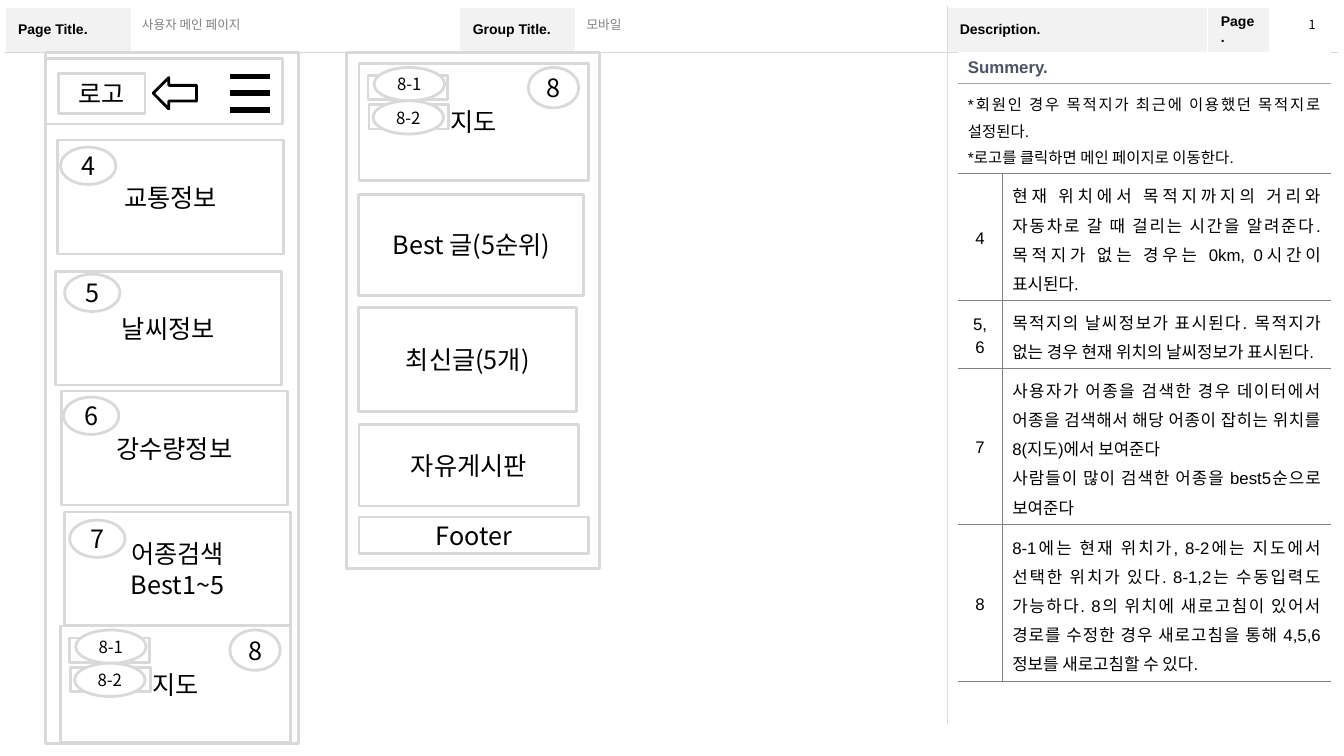
from lxml.etree import SubElement
from pptx import Presentation
from pptx.dml.color import RGBColor
from pptx.enum.shapes import MSO_CONNECTOR, MSO_SHAPE
from pptx.enum.text import MSO_ANCHOR, PP_ALIGN
from pptx.oxml.ns import qn
from pptx.util import Inches, Pt

THEME = {
    "latin": "Arial", "hangul": "Noto Sans CJK KR",
    "ink": "000000", "paper": "FFFFFF", "edge": "D9D9D9", "band": "F2F2F2",
    "mute": "808080", "rule": "A6A6A6", "head": "4E5263",
    "small": 9, "label": 10, "note": 11, "body": 12, "card": 18,
    "frame": 2, "bar": 4, "hair": 0.25,
}
WIDE, TALL = 13.33, 7.5

# Page frame: column width and label of each header cell
HEADER = [(1.26, "Page Title."), (3.25, ""), (1.15, "Group Title."), (3.68, ""),
          (2.59, "Description."), (0.61, "Page."), (0.68, "")]
FRAME_ROWS = [0.44, 6.67]
SPLIT = 4  # first header column of the description side
TITLES = [(1.31, 3.24, "사용자 메인 페이지"), (5.72, 3.64, "모바일")]

SUMMARY = "Summery."
REMARKS = ["*회원인 경우 목적지가 최근에 이용했던 목적지로 설정된다.",
           "*로고를 클릭하면 메인 페이지로 이동한다."]
DETAILS = [
    ("4", ["현재 위치에서 목적지까지의 거리와 자동차로 갈 때 걸리는 시간을 알려준다. "
           "목적지가 없는 경우는 0km, 0시간이 표시된다."]),
    ("5, 6", ["목적지의 날씨정보가 표시된다. 목적지가 없는 경우 현재 위치의 날씨정보가 표시된다."]),
    ("7", ["사용자가 어종을 검색한 경우 데이터에서 어종을 검색해서 해당 어종이 잡히는 위치를 "
           "8(지도)에서 보여준다",
           "사람들이 많이 검색한 어종을 best5순으로 보여준다"]),
    ("8", ["8-1에는 현재 위치가, 8-2에는 지도에서 선택한 위치가 있다. 8-1,2는 수동입력도 "
           "가능하다. 8의 위치에 새로고침이 있어서 경로를 수정한 경우 새로고침을 통해 4,5,6 "
           "정보를 새로고침할 수 있다."]),
]
DETAIL_ROWS = [0.28, 0.9, 1.26, 0.67, 1.55, 1.56]

# Cards: left, top, lines, badge number, badge offset
CARDS = [
    (0.57, 1.39, ["교통정보"], "4", (0.03, 0.07)),
    (0.55, 2.69, ["날씨정보"], "5", (0.09, 0.03)),
    (0.61, 3.88, ["강수량정보"], "6", (0.02, 0.06)),
    (0.64, 5.08, ["어종검색", "Best1~5"], "7", (0.05, 0.08)),
]
# Boards of the second phone: top, width, height, line
BOARDS = [(1.93, 2.23, 1, "Best 글(5순위)"), (3.05, 2.16, 1.03, "최신글(5개)"),
          (4.21, 2.18, 0.81, "자유게시판"), (5.13, 2.28, 0.36, "Footer")]
MAPS = [(0.6, 6.21), (3.56, 0.63)]
PINS = [("8-1", 0.15, 0.04, 0.7, 0.33, "body"), ("8", 1.68, 0.04, 0.5, 0.4, "card"),
        ("8-2", 0.14, 0.37, 0.7, 0.33, "body")]

deck = Presentation()
deck.slide_width, deck.slide_height = Inches(WIDE), Inches(TALL)
page = deck.slides.add_slide(deck.slide_layouts[6])
RECT, OVAL = MSO_SHAPE.RECTANGLE, MSO_SHAPE.OVAL


def tone(name):
    """Return a theme colour."""
    return RGBColor.from_string(THEME[name])


def place(*sizes):
    """Turn inches into lengths."""
    return [Inches(size) for size in sizes]


def write(frame, lines, size, face="latin", color="ink", bold=False, align=None, space=None):
    """Put one run per line in its own paragraph."""
    for i, line in enumerate(lines):
        para = frame.add_paragraph() if i else frame.paragraphs[0]
        para.alignment = align
        para.line_spacing = space
        run = para.add_run()
        run.text = line
        font = run.font
        font.size, font.bold, font.name = Pt(THEME[size]), bold, THEME[face]
        font.color.rgb = tone(color)
        SubElement(font._element, qn("a:ea"), typeface=THEME["hangul"])


def draw(kind, x, y, w, h, lines=(), size="card", line="edge"):
    """Add an outlined shape with centred lines."""
    shape = page.shapes.add_shape(kind, *place(x, y, w, h))
    shape.shadow.inherit = False
    shape.fill.solid()
    shape.fill.fore_color.rgb = tone("paper")
    shape.line.color.rgb = tone(line)
    shape.line.width = Pt(THEME["frame"])
    frame = shape.text_frame
    frame.margin_left = frame.margin_right = frame.margin_top = frame.margin_bottom = 0
    frame.vertical_anchor = MSO_ANCHOR.MIDDLE
    frame.word_wrap = True
    write(frame, lines, size, "hangul", align=PP_ALIGN.CENTER)


def label(x, y, w, h, text, wrap=True, **look):
    """Add a small line of free text."""
    frame = page.shapes.add_textbox(*place(x, y, w, h)).text_frame
    frame.word_wrap = wrap
    frame.vertical_anchor = MSO_ANCHOR.MIDDLE
    write(frame, [text], "small", **look)


def grid(x, y, cols, rows):
    """Add a plain table with the given column and row sizes."""
    box = page.shapes.add_table(len(rows), len(cols), *place(x, y, sum(cols), sum(rows)))
    table = box.table
    table.first_row = table.horz_banding = False
    for part, sizes in ((table.columns, cols), (table.rows, rows)):
        for item, size in zip(part, sizes):
            if part is table.columns:
                item.width = Inches(size)
            else:
                item.height = Inches(size)
    return table


def dress(cell, fill=None, **sides):
    """Set the four borders (L, R, T, B) and the fill of a cell."""
    prop = cell._tc.get_or_add_tcPr()
    for side in "LRTB":
        color = sides.get(side)
        width = 1 if color == "paper" else THEME["hair"]
        line = SubElement(prop, qn("a:ln" + side), w=str(Pt(width)))
        if color:
            solid = SubElement(line, qn("a:solidFill"))
            SubElement(solid, qn("a:srgbClr"), val=THEME[color])
        else:
            SubElement(line, qn("a:noFill"))
    if fill:
        cell.fill.solid()
        cell.fill.fore_color.rgb = tone(fill)
    else:
        cell.fill.background()
    cell.vertical_anchor = MSO_ANCHOR.MIDDLE


def outline():
    """Build the page frame with its header row."""
    table = grid(0.05, 0.07, [width for width, _ in HEADER], FRAME_ROWS)
    table.cell(1, 0).merge(table.cell(1, SPLIT - 1))
    table.cell(1, SPLIT).merge(table.cell(1, len(HEADER) - 1))
    for col, (_, text) in enumerate(HEADER):
        left = "edge" if col == SPLIT else "paper"
        right = "edge" if col == SPLIT - 1 else "paper"
        cell = table.cell(0, col)
        dress(cell, "band" if text else None, L=left, R=right, T="paper", B="edge")
        if text:
            cell.margin_left = cell.margin_right = Inches(0.13)
            cell.margin_top = cell.margin_bottom = Inches(0.07)
            write(cell.text_frame, [text], "label", bold=True)
        base = table.cell(1, col)
        right = "edge" if col < SPLIT else "paper"
        dress(base, L=left, R=right, T="edge", B="paper")


def describe():
    """Build the table of descriptions."""
    table = grid(9.5, 0.52, [0.44, 3.26], DETAIL_ROWS)
    for row, (top, low, fill) in enumerate([(None, "rule", "paper"), ("rule", "mute", None)]):
        table.cell(row, 0).merge(table.cell(row, 1))
        for col in range(2):
            dress(table.cell(row, col), fill, T=top, B=low)
    write(table.cell(0, 0).text_frame, [SUMMARY], "body", color="head", bold=True)
    write(table.cell(1, 0).text_frame, REMARKS, "note", align=PP_ALIGN.JUSTIFY, space=1.2)
    for row, (mark, lines) in enumerate(DETAILS, 2):
        key, text = table.cell(row, 0), table.cell(row, 1)
        dress(key, R="mute", T="mute", B="mute")
        dress(text, L="mute", T="mute", B="mute")
        write(key.text_frame, [mark], "body", align=PP_ALIGN.CENTER, space=1.2)
        write(text.text_frame, lines, "body", align=PP_ALIGN.JUSTIFY, space=1.2)


def chart_map(x, y):
    """Draw the map card with its two inputs and three badges."""
    draw(RECT, x, y, 2.28, 1.16, ["지도"])
    for dx, dy in ((0.09, 0.12), (0.1, 0.41)):
        draw(RECT, x + dx, y + dy, 0.79, 0.24)
    for text, dx, dy, w, h, size in PINS:
        draw(OVAL, x + dx, y + dy, w, h, [text], size)


def menu(x, y, w, gap):
    """Draw the three bars of the menu icon."""
    for i in range(3):
        level = y + i * gap
        bar = page.shapes.add_connector(MSO_CONNECTOR.STRAIGHT, *place(x, level, x + w, level))
        bar.line.color.rgb = tone("ink")
        bar.line.width = Pt(THEME["bar"])
        SubElement(bar._element.spPr, qn("a:effectLst"))


outline()
for x, w, text in TITLES:
    label(x, 0.12, w, 0.24, text, color="mute")
label(12.88, 0.12, 0.27, 0.25, "1", wrap=False, face="hangul")
describe()

draw(RECT, 0.45, 0.52, 2.51, 6.86)
draw(RECT, 0.45, 0.58, 2.35, 0.65)
draw(RECT, 0.58, 0.73, 0.86, 0.4, ["로고"])
draw(MSO_SHAPE.LEFT_ARROW, 1.52, 0.77, 0.43, 0.31, line="ink")
menu(2.28, 0.76, 0.4, 0.165)
for x, y, lines, mark, (dx, dy) in CARDS:
    draw(RECT, x, y, 2.24, 1.13, lines)
    draw(OVAL, x + dx, y + dy, 0.55, 0.37, [mark])

draw(RECT, 3.44, 0.52, 2.51, 5.12)
for x, y in MAPS:
    chart_map(x, y)
for y, w, h, text in BOARDS:
    draw(RECT, 3.56, y, w, h, [text])

deck.save("out.pptx")
